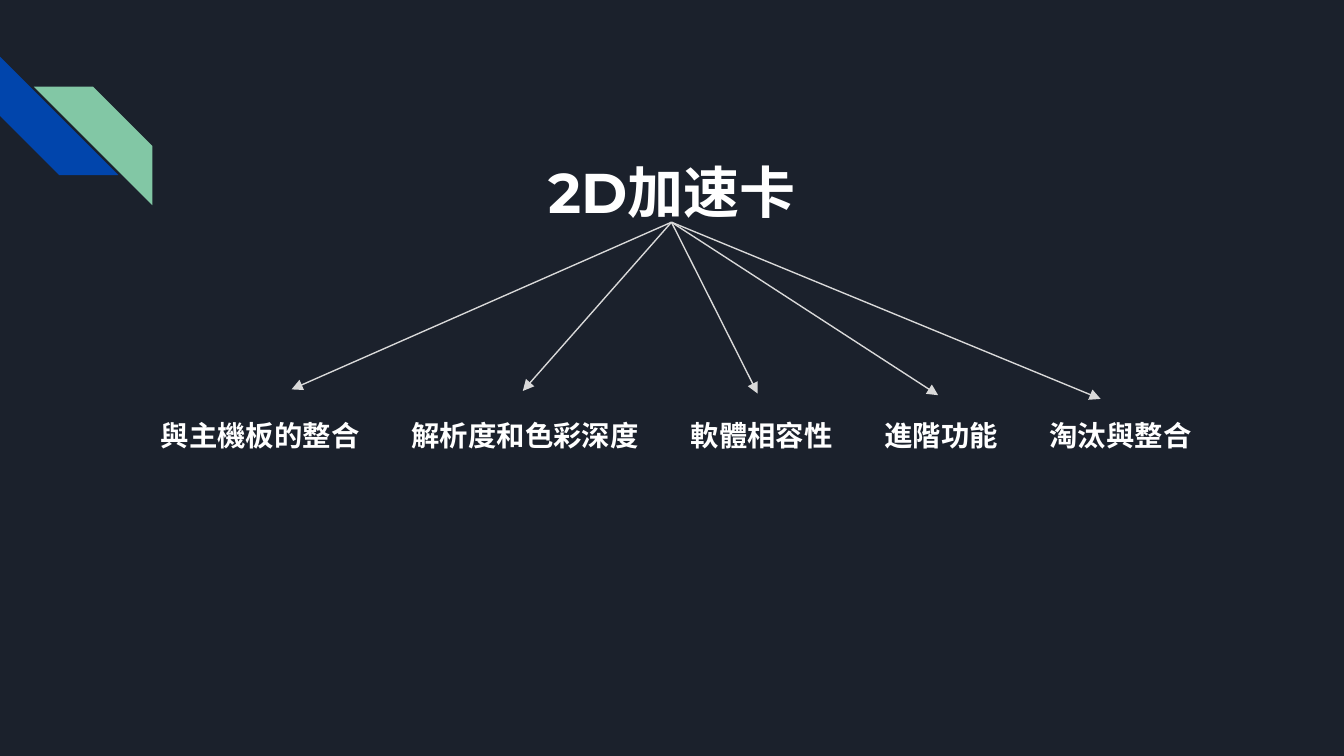
from dataclasses import dataclass

from lxml import etree
from pptx import Presentation
from pptx.dml.color import RGBColor
from pptx.enum.shapes import MSO_CONNECTOR, MSO_SHAPE
from pptx.enum.text import MSO_ANCHOR, PP_ALIGN
from pptx.oxml.ns import qn
from pptx.slide import Slide
from pptx.util import Cm, Pt

STRAIGHT = MSO_CONNECTOR.STRAIGHT
STRIPE = MSO_SHAPE.DIAGONAL_STRIPE
CENTER = PP_ALIGN.CENTER
MIDDLE = MSO_ANCHOR.MIDDLE
BLANK_LAYOUT = 6


@dataclass(frozen=True)
class Theme:
    background: RGBColor = RGBColor(0x1B, 0x21, 0x2C)
    blue: RGBColor = RGBColor(0x01, 0x45, 0xAC)
    green: RGBColor = RGBColor(0x82, 0xC7, 0xA5)
    text: RGBColor = RGBColor(0xFF, 0xFF, 0xFF)
    arrow: RGBColor = RGBColor(0xD9, 0xD9, 0xD9)
    title_font: str = "Montserrat"
    topic_font: str = "Lato"
    title_size: float = 30
    topic_size: float = 15.2
    arrow_width: float = 0.75


@dataclass(frozen=True)
class Stripe:
    left: float
    top: float
    color: RGBColor
    rotation: float = 0
    mirrored: bool = False


@dataclass(frozen=True)
class Topic:
    """A topic and the point, in centimetres, where its arrow ends."""
    name: str
    tip_x: float
    tip_y: float


THEME = Theme()
STRIPE_SIZE = 2.24
STRIPES = (
    Stripe(0, 1.07, THEME.blue, rotation=270),
    Stripe(0.64, 1.64, THEME.green, mirrored=True),
)
TOPICS = (
    Topic("與主機板的整合", 5.51, 7.36),
    Topic("解析度和色彩深度", 9.88, 7.39),
    Topic("軟體相容性", 14.32, 7.44),
    Topic("進階功能", 17.73, 7.47),
    Topic("淘汰與整合", 20.8, 7.54),
)
ARROW_START = (12.69, 4.2)
TOPICS_LEFT, TOPICS_TOP, TOPIC_HEIGHT = 2.55, 7.73, 1
CHARACTER_WIDTH, TOPIC_GAP = 0.54, 0.96


def add_text(slide: Slide, text: str, left: float, top: float, width: float,
             height: float, *, font: str, size: float) -> None:
    frame = slide.shapes.add_textbox(Cm(left), Cm(top), Cm(width), Cm(height)).text_frame
    frame.margin_left = frame.margin_right = frame.margin_top = frame.margin_bottom = 0
    frame.word_wrap = True
    frame.vertical_anchor = MIDDLE
    paragraph = frame.paragraphs[0]
    paragraph.alignment = CENTER
    run = paragraph.add_run()
    run.text = text
    run.font.name = font
    run.font.size = Pt(size)
    run.font.bold = True
    run.font.color.rgb = THEME.text


def add_stripe(slide: Slide, stripe: Stripe) -> None:
    shape = slide.shapes.add_shape(STRIPE, Cm(stripe.left), Cm(stripe.top),
                                   Cm(STRIPE_SIZE), Cm(STRIPE_SIZE))
    shape.adjustments[0] = 0.5
    shape.rotation = stripe.rotation
    shape.shadow.inherit = False
    shape.fill.solid()
    shape.fill.fore_color.rgb = stripe.color
    shape.line.fill.background()
    if stripe.mirrored:
        shape._element.spPr.find(qn("a:xfrm")).set("flipH", "1")


def add_arrow(slide: Slide, topic: Topic) -> None:
    start_x, start_y = ARROW_START
    arrow = slide.shapes.add_connector(STRAIGHT, Cm(start_x), Cm(start_y),
                                       Cm(topic.tip_x), Cm(topic.tip_y))
    arrow.line.color.rgb = THEME.arrow
    arrow.line.width = Pt(THEME.arrow_width)
    etree.SubElement(arrow.line._get_or_add_ln(), qn("a:tailEnd"), type="triangle")
    etree.SubElement(arrow._element.spPr, qn("a:effectLst"))


def add_topics(slide: Slide) -> None:
    """Set the topics side by side, each box holding half a gap on either side."""
    left = TOPICS_LEFT
    for topic in TOPICS:
        width = len(topic.name) * CHARACTER_WIDTH + TOPIC_GAP
        add_text(slide, topic.name, left, TOPICS_TOP, width, TOPIC_HEIGHT,
                 font=THEME.topic_font, size=THEME.topic_size)
        add_arrow(slide, topic)
        left += width


def main() -> None:
    presentation = Presentation()
    presentation.slide_width = Cm(25.4)
    presentation.slide_height = Cm(14.29)
    slide = presentation.slides.add_slide(presentation.slide_layouts[BLANK_LAYOUT])
    slide.background.fill.solid()
    slide.background.fill.fore_color.rgb = THEME.background

    for stripe in STRIPES:
        add_stripe(slide, stripe)
    add_text(slide, "2D加速卡", 0.86, 2.64, 23.67, 1.96,
             font=THEME.title_font, size=THEME.title_size)
    add_topics(slide)
    presentation.save("out.pptx")


if __name__ == "__main__":
    main()
